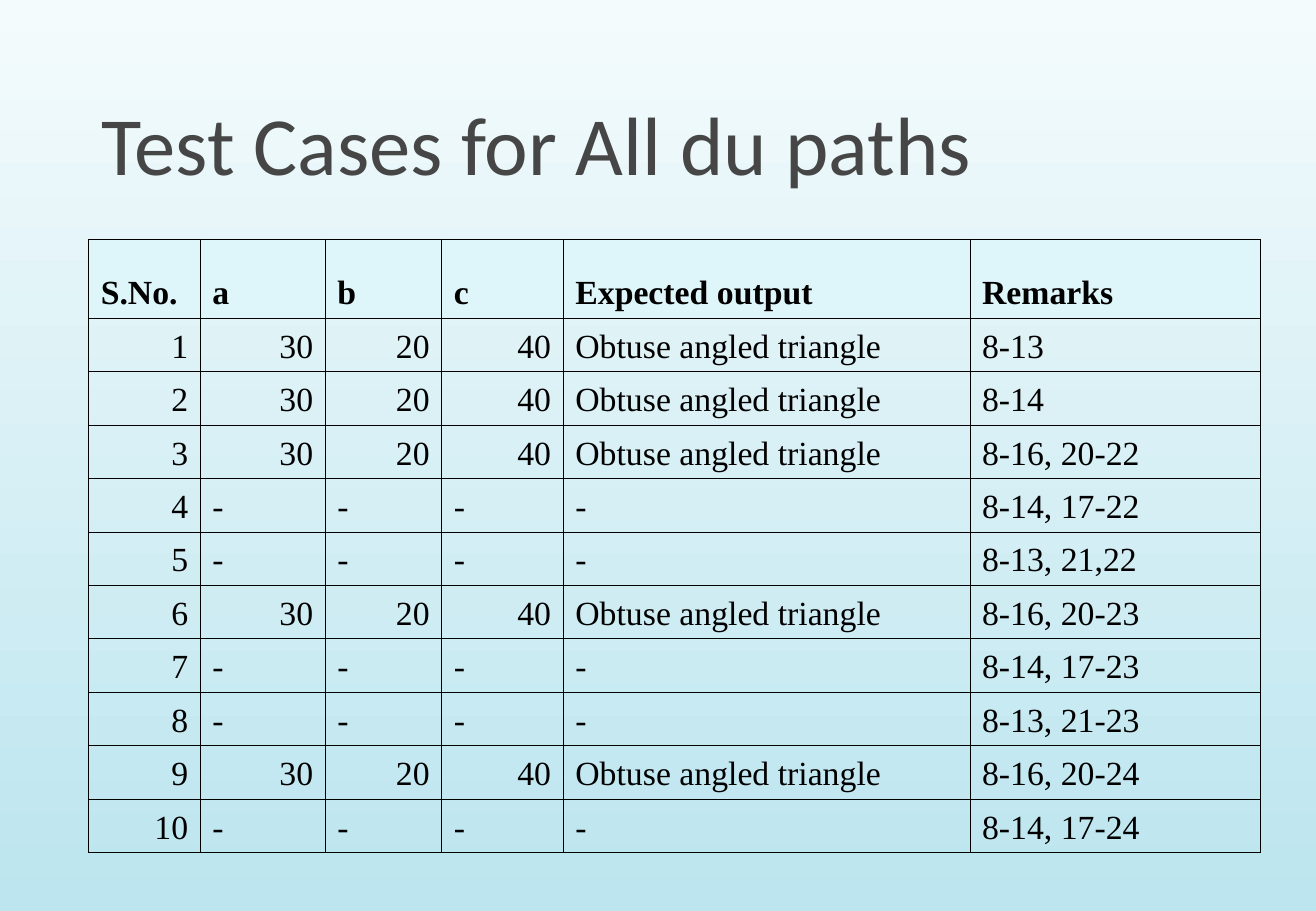
from dataclasses import dataclass

from pptx import Presentation
from pptx.dml.color import RGBColor
from pptx.enum.text import MSO_ANCHOR, PP_ALIGN
from pptx.oxml import parse_xml
from pptx.oxml.ns import nsdecls
from pptx.util import Inches, Pt


@dataclass(frozen=True)
class Theme:
    bg_top: str = "F4FBFC"
    bg_bottom: str = "BCE5EF"
    title_color: str = "464646"
    text_color: str = "000000"
    header_fill: str = "DEF5FA"
    border_color: str = "000000"
    border_width: float = 0.45
    title_font: str = "Calibri"
    table_font: str = "Times New Roman"
    title_size: int = 49
    table_size: int = 20


class SlideBuilder:
    def __init__(self, slide, theme):
        self.slide = slide
        self.theme = theme

    def background(self):
        fill = self.slide.background.fill
        fill.gradient()
        fill.gradient_angle = 270
        colors = (self.theme.bg_top, self.theme.bg_bottom)
        for stop, color in zip(fill.gradient_stops, colors):
            stop.color.rgb = RGBColor.from_string(color)

    def font(self, p, name, size, color, bold=False):
        p.font.name = name
        p.font.size = Pt(size)
        p.font.bold = bold
        p.font.color.rgb = RGBColor.from_string(color)

    def title(self, text, left, top, width, height):
        box = self.slide.shapes.add_textbox(
            Inches(left), Inches(top), Inches(width), Inches(height))
        tf = box.text_frame
        tf.word_wrap = True
        tf.vertical_anchor = MSO_ANCHOR.BOTTOM
        tf.margin_left = tf.margin_right = Inches(0.12)
        tf.margin_top = tf.margin_bottom = Inches(0.06)
        p = tf.paragraphs[0]
        p.text = text
        self.font(p, self.theme.title_font, self.theme.title_size,
                  self.theme.title_color)

    def borders(self, cell):
        tc_pr = cell._tc.get_or_add_tcPr()
        for i, side in enumerate("LRTB"):
            tc_pr.insert(i, parse_xml(
                f'<a:ln{side} {nsdecls("a")} w="{Pt(self.theme.border_width)}">'
                f'<a:solidFill><a:srgbClr val="{self.theme.border_color}"/>'
                f'</a:solidFill></a:ln{side}>'))

    def cell(self, cell, text, header):
        cell.vertical_anchor = MSO_ANCHOR.BOTTOM
        cell.margin_left = cell.margin_right = Inches(0.1)
        cell.margin_top = cell.margin_bottom = Inches(0.05)
        if header:
            cell.fill.solid()
            cell.fill.fore_color.rgb = RGBColor.from_string(self.theme.header_fill)
        else:
            cell.fill.background()
        self.borders(cell)
        p = cell.text_frame.paragraphs[0]
        p.text = text
        # Numbers sit on the right, words and dashes on the left
        p.alignment = PP_ALIGN.RIGHT if text.isdigit() else PP_ALIGN.LEFT
        self.font(p, self.theme.table_font, self.theme.table_size,
                  self.theme.text_color, header)

    def table(self, rows, left, top, col_widths, row_heights):
        table = self.slide.shapes.add_table(
            len(rows), len(col_widths), Inches(left), Inches(top),
            Inches(sum(col_widths)), Inches(sum(row_heights))).table
        table.first_row = table.horz_banding = False
        for col, width in zip(table.columns, col_widths):
            col.width = Inches(width)
        for row, height in zip(table.rows, row_heights):
            row.height = Inches(height)
        for r, row in enumerate(rows):
            for c, text in enumerate(row):
                self.cell(table.cell(r, c), text, header=r == 0)


HEADERS = ("S.No.", "a", "b", "c", "Expected output", "Remarks")
OBTUSE = ("30", "20", "40", "Obtuse angled triangle")
NO_CASE = ("-",) * 4
TEST_CASES = (
    (OBTUSE, "8-13"),
    (OBTUSE, "8-14"),
    (OBTUSE, "8-16, 20-22"),
    (NO_CASE, "8-14, 17-22"),
    (NO_CASE, "8-13, 21,22"),
    (OBTUSE, "8-16, 20-23"),
    (NO_CASE, "8-14, 17-23"),
    (NO_CASE, "8-13, 21-23"),
    (OBTUSE, "8-16, 20-24"),
    (NO_CASE, "8-14, 17-24"),
)


def main():
    prs = Presentation()
    prs.slide_width = Inches(10.84)
    prs.slide_height = Inches(7.5)
    s = SlideBuilder(prs.slides.add_slide(prs.slide_layouts[6]), Theme())

    # Background and title
    s.background()
    s.title("Test Cases for All du paths", 0.72, 0.17, 9.66, 1.47)

    # Test case table
    rows = [HEADERS] + [(str(number), *values, remarks) for number,
                        (values, remarks) in enumerate(TEST_CASES, start=1)]
    s.table(rows, 0.73, 1.97,
            col_widths=(0.92, 1.03, 0.96, 1, 3.35, 2.39),
            row_heights=[0.65] + [0.44] * len(TEST_CASES))

    prs.save("out.pptx")


if __name__ == "__main__":
    main()
